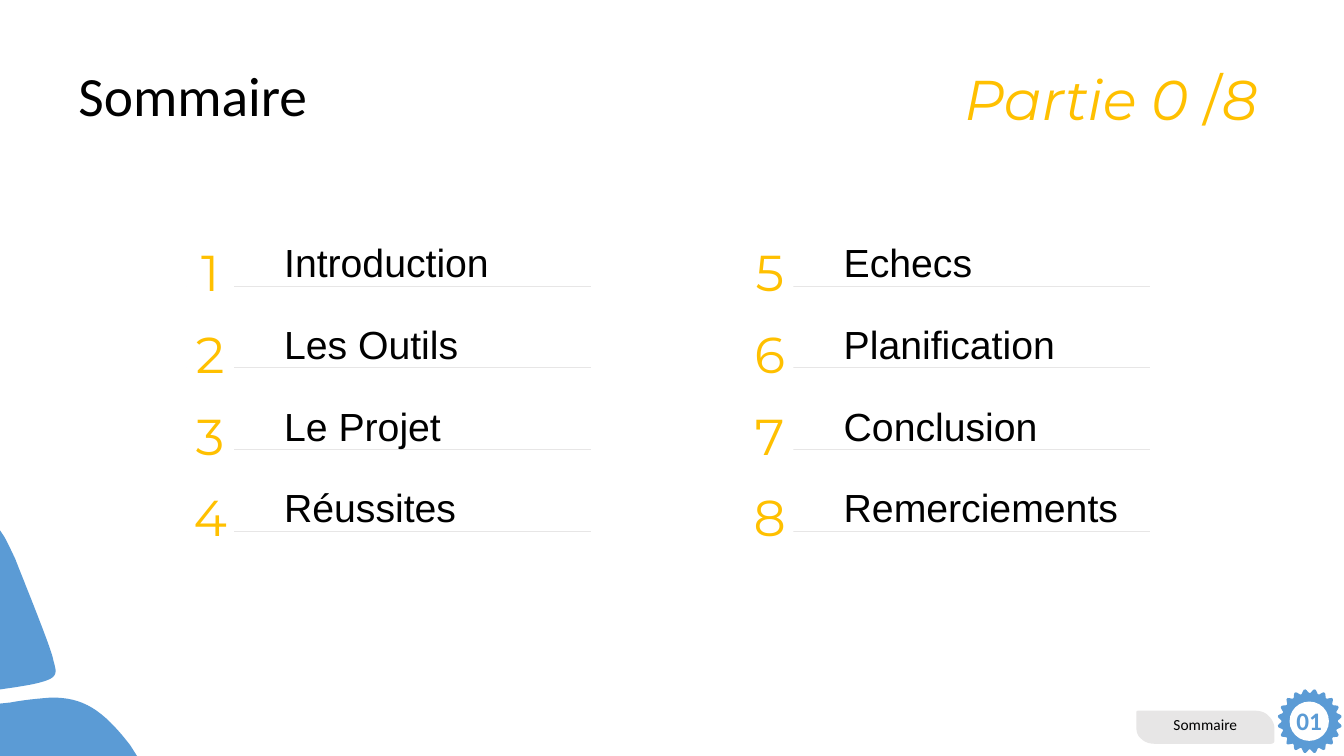
from dataclasses import dataclass
from math import cos, radians, sin

from lxml import etree
from pptx import Presentation
from pptx.dml.color import RGBColor
from pptx.enum.shapes import MSO_CONNECTOR, MSO_SHAPE
from pptx.enum.text import MSO_ANCHOR, PP_ALIGN
from pptx.oxml.ns import qn
from pptx.util import Inches, Pt

STRAIGHT = MSO_CONNECTOR.STRAIGHT
OVAL, RECTANGLE = MSO_SHAPE.OVAL, MSO_SHAPE.RECTANGLE
TOP, MIDDLE = MSO_ANCHOR.TOP, MSO_ANCHOR.MIDDLE
LEFT, CENTER, RIGHT = PP_ALIGN.LEFT, PP_ALIGN.CENTER, PP_ALIGN.RIGHT

Point = tuple[float, float]


@dataclass(frozen=True)
class Theme:
    """Colours, fonts and type sizes of the slide."""
    blue: str = "5B9BD5"
    gold: str = "FFC000"
    grey: str = "E7E6E6"
    white: str = "FFFFFF"
    black: str = "000000"
    heading_font: str = "Calibri"
    accent_font: str = "Montserrat"
    body_font: str = "Arial"
    title_size: float = 39.6
    part_size: float = 40
    number_size: float = 36
    chapter_size: float = 28
    page_size: float = 18
    footer_size: float = 11


@dataclass(frozen=True)
class Chapter:
    """One entry of the contents list and its place in the grid."""
    number: int
    heading: str
    left: float
    rule_y: float


THEME = Theme()
HEADINGS = ("Introduction", "Les Outils", "Le Projet", "Réussites",
            "Echecs", "Planification", "Conclusion", "Remerciements")
ROWS = 4
FIRST_LEFT, COLUMN_STEP = 1.85, 5.55
FIRST_RULE, ROW_STEP = 2.84, 0.81
RULE_LENGTH = 4.01
DEFAULT_INSETS = (0.1, 0.05, 0.1, 0.05)
NUMBER_INSETS = (0.04, 0.16, 0.04, 0)

# Outlines: a start point, then line ends (x, y) or cubic curves (six numbers).
LOWER_LEAF = [(0.51, 6.92), (0.82, 6.92, 1.01, 7.03, 1.29, 7.39),
              (1.36, 7.5), (0, 7.5), (0, 6.98), (0.1, 6.97),
              (0.26, 6.94, 0.39, 6.93, 0.51, 6.92)]
UPPER_LEAF = [(0, 5.26), (0.04, 5.32), (0.08, 5.39, 0.11, 5.46, 0.15, 5.54),
              (0.23, 5.75, 0.51, 6.43, 0.53, 6.55),
              (0.56, 6.67, 0.59, 6.72, 0.4, 6.77),
              (0.33, 6.79, 0.21, 6.81, 0.07, 6.83), (0, 6.84)]
FOOTER_TAB = [(12.64, 7.23), (12.64, 7.35),
              (12.64, 7.37, 12.62, 7.38, 12.6, 7.38), (11.47, 7.38),
              (11.41, 7.38, 11.36, 7.37, 11.32, 7.33),
              (11.28, 7.3, 11.27, 7.26, 11.27, 7.19), (11.27, 7.08),
              (11.27, 7.06, 11.27, 7.05, 11.3, 7.05), (12.42, 7.05),
              (12.49, 7.05, 12.54, 7.06, 12.58, 7.1),
              (12.61, 7.13, 12.64, 7.17, 12.64, 7.23)]


def trace(outline: list[tuple[float, ...]], steps: int = 16) -> list[Point]:
    """Turn an outline of lines and cubic curves into points."""
    points = [outline[0]]
    for segment in outline[1:]:
        if len(segment) == 2:
            points.append(segment)
            continue
        x0, y0 = points[-1]
        x1, y1, x2, y2, x3, y3 = segment
        for step in range(1, steps + 1):
            t = step / steps
            a, b, c, d = (1 - t) ** 3, 3 * t * (1 - t) ** 2, 3 * t * t * (1 - t), t ** 3
            points.append((a * x0 + b * x1 + c * x2 + d * x3,
                           a * y0 + b * y1 + c * y2 + d * y3))
    return points


def gear_points(center: Point, root: float, tip: float, teeth: int) -> list[Point]:
    """Return the outline of a gear whose first valley points straight up."""
    pitch = 360 / teeth
    profile = ((-0.08, root), (0.08, root), (0.32, tip - 0.01), (0.42, tip),
               (0.58, tip), (0.68, tip - 0.01))
    polar = [(radians((tooth + part) * pitch), radius)
             for tooth in range(teeth) for part, radius in profile]
    return [(center[0] + radius * sin(angle), center[1] - radius * cos(angle))
            for angle, radius in polar]


def paint(shape, color: str):
    """Give a shape a plain fill without outline or shadow."""
    shape.shadow.inherit = False
    shape.fill.solid()
    shape.fill.fore_color.rgb = RGBColor.from_string(color)
    shape.line.fill.background()
    return shape


def add_outline(slide, points: list[Point], color: str):
    """Draw a closed filled outline through points in inches."""
    start, *others = [(Inches(x), Inches(y)) for x, y in points]
    builder = slide.shapes.build_freeform(*start)
    builder.add_line_segments(others, close=True)
    return paint(builder.convert_to_shape(), color)


def add_preset(slide, preset, box: tuple[float, ...], color: str):
    """Draw a filled preset shape in a box given in inches."""
    return paint(slide.shapes.add_shape(preset, *map(Inches, box)), color)


def add_box(slide, box: tuple[float, ...]):
    """Add an empty text box in a box given in inches."""
    return slide.shapes.add_textbox(*map(Inches, box))


def write(shape, *pieces: str, font: str, size: float, color: str = THEME.black,
          align=LEFT, anchor=TOP, bold: bool = False, italics: tuple[bool, ...] = (False,),
          wrap: bool = True, insets: tuple[float, ...] = DEFAULT_INSETS,
          spacing: float = 1.0) -> None:
    """Write one paragraph, with one italic setting for each piece of text."""
    frame = shape.text_frame
    frame.word_wrap, frame.vertical_anchor = wrap, anchor
    (frame.margin_left, frame.margin_top,
     frame.margin_right, frame.margin_bottom) = map(Inches, insets)
    paragraph = frame.paragraphs[0]
    paragraph.alignment, paragraph.line_spacing = align, spacing
    for piece, italic in zip(pieces, italics):
        run = paragraph.add_run()
        run.text = piece
        run.font.name, run.font.size = font, Pt(size)
        run.font.bold, run.font.italic = bold, italic
        run.font.color.rgb = RGBColor.from_string(color)


def add_rule(slide, left: float, y: float) -> None:
    """Draw the thin line under a chapter heading."""
    rule = slide.shapes.add_connector(STRAIGHT, Inches(left), Inches(y),
                                      Inches(left + RULE_LENGTH), Inches(y))
    rule.line.color.rgb = RGBColor.from_string(THEME.grey)
    rule.line.width = Pt(0.75)
    etree.SubElement(rule._element.spPr, qn("a:effectLst"))


def add_chapter(slide, chapter: Chapter) -> None:
    """Draw the rule, number and heading of a chapter."""
    add_rule(slide, chapter.left, chapter.rule_y)
    number = add_preset(slide, RECTANGLE,
                        (chapter.left, chapter.rule_y - 0.63, 0.47, 0.81), THEME.white)
    write(number, str(chapter.number), font=THEME.accent_font, size=THEME.number_size,
          color=THEME.gold, align=CENTER, anchor=MIDDLE, insets=NUMBER_INSETS)
    heading = add_box(slide, (chapter.left + 0.87, chapter.rule_y - 0.52, 2.96, 0.57))
    write(heading, chapter.heading, font=THEME.body_font, size=THEME.chapter_size, wrap=False)


def add_footer(slide) -> None:
    """Draw the page gear and the section tab."""
    add_outline(slide, gear_points((12.99, 7.155), 0.28, 0.318, 20), THEME.blue)
    add_preset(slide, OVAL, (12.79, 6.96, 0.39, 0.39), THEME.white)
    write(add_box(slide, (12.76, 6.95, 0.46, 0.4)), "01", font=THEME.heading_font,
          size=THEME.page_size, color=THEME.blue, bold=True, wrap=False)
    write(add_outline(slide, trace(FOOTER_TAB), THEME.grey), "Sommaire",
          font=THEME.heading_font, size=THEME.footer_size, align=CENTER)


def main() -> None:
    """Build and save the contents slide."""
    deck = Presentation()
    deck.slide_width, deck.slide_height = Inches(13.33), Inches(7.5)
    slide = deck.slides.add_slide(deck.slide_layouts[6])
    for leaf in (LOWER_LEAF, UPPER_LEAF):
        add_outline(slide, trace(leaf), THEME.blue)
    add_footer(slide)
    write(add_box(slide, (0.68, 0.8, 11.97, 0.36)), "Sommaire", font=THEME.heading_font,
          size=THEME.title_size, anchor=MIDDLE, spacing=0.9)
    write(add_box(slide, (7.56, 0.59, 5.01, 0.77)), "Partie 0 ", "/", "8",
          font=THEME.accent_font, size=THEME.part_size, color=THEME.gold,
          align=RIGHT, italics=(True, False, True))
    for index, heading in enumerate(HEADINGS):
        column, row = divmod(index, ROWS)
        add_chapter(slide, Chapter(index + 1, heading, FIRST_LEFT + column * COLUMN_STEP,
                                   FIRST_RULE + row * ROW_STEP))
    deck.save("out.pptx")


main()
